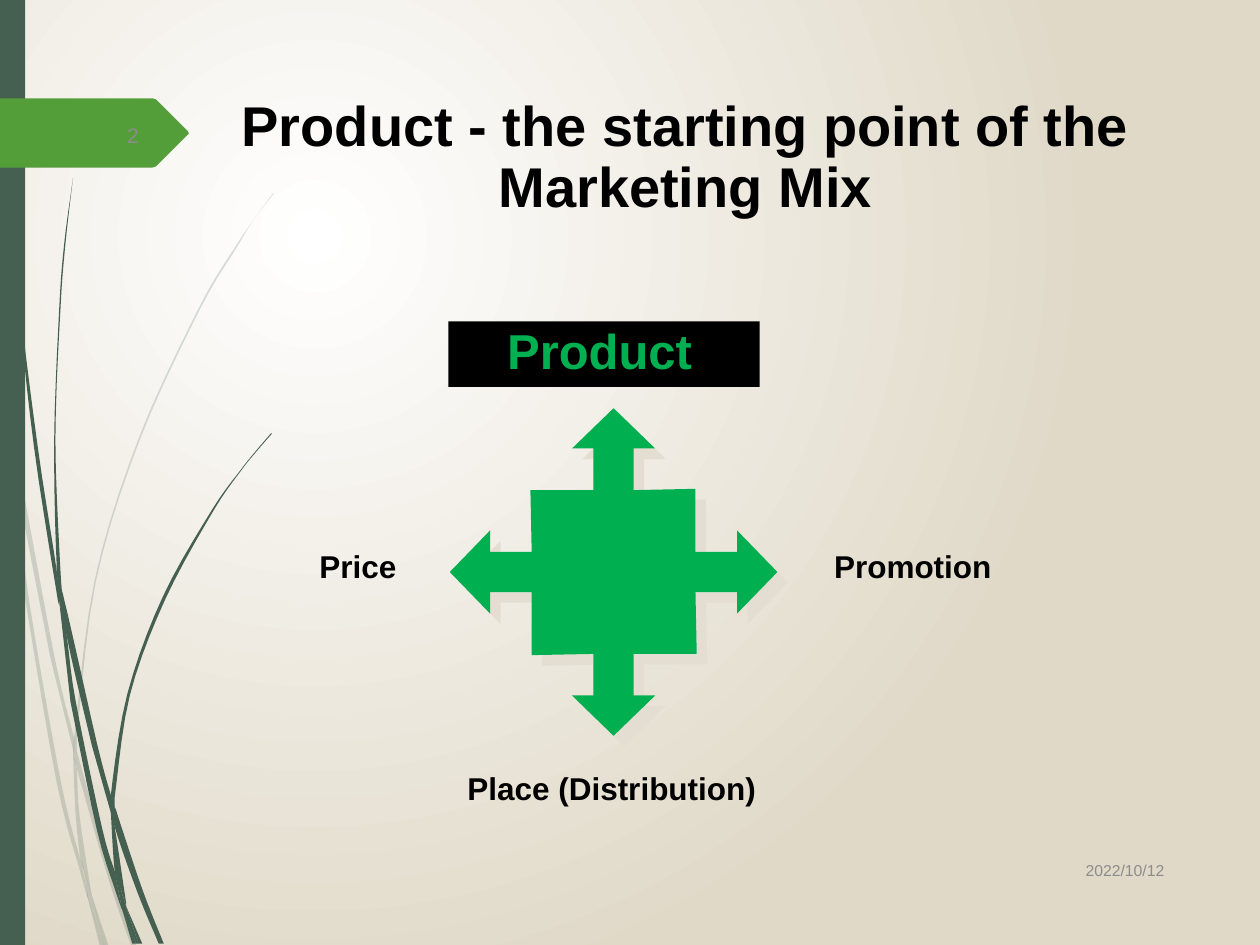
from lxml.etree import SubElement
from pptx import Presentation
from pptx.dml.color import RGBColor
from pptx.enum.shapes import MSO_SHAPE
from pptx.enum.text import MSO_ANCHOR, MSO_AUTO_SIZE, PP_ALIGN
from pptx.oxml.ns import qn
from pptx.util import Inches, Pt

# Content
TITLE = "Product - the starting point of the\vMarketing Mix"
PRODUCT = "Product"
LABELS = [
    ("Promotion", (6.31, 4.33, 1.87, 0.46)),
    ("Place (Distribution)", (3.22, 6.09, 3.27, 0.46)),
    ("Price", (2.17, 4.33, 1.34, 0.46)),
]
NUMBER, DATE = "2", "2022/10/12"
DARK, LEAF, GREEN, BLACK, GREY = "455F51", "549E39", "00B050", "000000", "8C8C8C"

# Grass blades: each is two smooth edges, out and back
PALE = [
    ([(.08, 3.5), (.06, 3.22), (0, 2.82)], [(0, 2.99), (.07, 3.44), (.08, 3.5)]),
    ([(.4, 5.22), (.59, 5.99)],
     [(.59, 5.86), (.43, 5.2), (.1, 3.45), (.12, 3.76), (.4, 5.22)]),
    ([(.64, 6.07), (.61, 5.96)],
     [(.61, 6.1), (.85, 6.94), (1.04, 7.5), (1.08, 7.5), (.88, 6.92), (.64, 6.07)]),
    ([(.83, 7.5), (.86, 7.5)], [(.73, 7.11), (.83, 7.5)]),
    ([(.64, 6.83), (.48, 6.19), (.22, 4.69), (.12, 3.76), (.08, 3.5)],
     [(.19, 4.7), (.45, 6.21), (.64, 6.93), (.7, 7.14), (.69, 7.07), (.64, 6.83)]),
    ([(.58, 5.99), (.6, 6.46), (.64, 6.83), (.67, 6.92), (.73, 7.11)],
     [(.72, 7.06), (.63, 6.46), (.61, 6.1), (.58, 5.99)]),
    ([(.61, 5.84), (.76, 4.62), (1.11, 3.49), (1.59, 2.45), (1.87, 1.98),
      (2.01, 1.75), (2.17, 1.54)],
     [(2.17, 1.53), (2.01, 1.75), (1.86, 1.97), (1.58, 2.44), (1.1, 3.48),
      (.75, 4.61), (.59, 5.84), (.59, 5.86), (.61, 5.96)]),
    ([(.7, 7.14), (.79, 7.5)], [(.82, 7.5), (.7, 7.14)]),
    ([(.61, 6.08), (.61, 5.96)], [(.59, 5.86), (.58, 5.99)]),
    ([(.67, 6.92), (.65, 6.83), (.69, 7.07), (.7, 7.14), (.82, 7.5)],
     [(.83, 7.5), (.73, 7.11), (.67, 6.92)]),
]
DEEP = [
    ([(.03, 0), (.04, .48), (.06, 1.09), (.15, 2.32), (.3, 3.55), (.45, 4.53), (.47, 4.81)],
     [(.46, 4.77), (.27, 3.55), (.14, 2.33), (.05, 1.1), (.03, .48), (.02, 0)]),
    ([(.73, 5.92), (.88, 6.45)],
     [(.88, 6.31), (.77, 5.9), (.5, 4.72), (.53, 5.05), (.73, 5.92)]),
    ([(.94, 6.49), (.91, 6.41), (.91, 6.56), (1.09, 7.08), (1.26, 7.49)],
     [(1.3, 7.49), (1.13, 7.06), (.94, 6.49)]),
    ([(.91, 6.91), (.81, 6.57), (.6, 5.56), (.53, 5.05), (.47, 4.77)],
     [(.56, 5.57), (.77, 6.59), (.92, 7.08), (.97, 7.22), (.96, 7.17), (.91, 6.91)]),
    ([(.5, 4.72), (.48, 4.53), (.44, 3.49), (.48, 2.45), (.52, 1.93), (.58, 1.41)],
     [(.58, 1.41), (.51, 1.93), (.47, 2.45), (.43, 3.49), (.45, 4.49), (.49, 4.72)]),
    ([(1.1, 7.49), (1.13, 7.49)], [(1, 7.19), (1.1, 7.49)]),
    ([(.47, 4.77), (.53, 5.05), (.5, 4.72)], [(.49, 4.72), (.45, 4.49), (.47, 4.77)]),
    ([(.91, 6.33), (1.03, 5.52), (1.31, 4.76), (1.69, 4.06), (1.91, 3.74),
      (2.03, 3.59), (2.16, 3.44)],
     [(2.15, 3.44), (2.03, 3.58), (1.91, 3.73), (1.68, 4.05), (1.29, 4.74),
      (1.01, 5.51), (.88, 6.31), (.91, 6.41)]),
    ([(.97, 7.22), (1.05, 7.49)], [(1.08, 7.49), (.97, 7.22)]),
    ([(.88, 6.45), (.91, 6.91), (.96, 7.06), (1, 7.19)],
     [(1, 7.16), (.91, 6.56), (.88, 6.45)]),
    ([(.88, 6.45), (.91, 6.56)], [(.91, 6.41), (.88, 6.31), (.88, 6.45)]),
    ([(.96, 7.06), (.91, 6.91), (.96, 7.17), (.97, 7.22), (1.08, 7.49)],
     [(1.1, 7.49), (1, 7.19), (.96, 7.06)]),
]
TAG = [(0, .78), (1.21, .78), (1.24, .79), (1.49, 1.04), (1.5, 1.06),
       (1.49, 1.07), (1.24, 1.32), (1.21, 1.33), (0, 1.33)]
ARM = [(-.66, -.65), (-.16, -.65), (-.16, -.98), (-.33, -.98), (0, -1.3),
       (.33, -.98), (.16, -.98), (.16, -.65)]
MID = (4.87, 4.54)


def rgb(code):
    return RGBColor.from_string(code)


def paint(shape, code):
    shape.shadow.inherit = False
    shape.fill.solid()
    shape.fill.fore_color.rgb = rgb(code)
    shape.line.fill.background()
    return shape


def smooth(edge, steps=5):
    """Points on a Catmull-Rom curve through the edge."""
    ends = [edge[0], *edge, edge[-1]]
    dots = []
    for a, b, c, d in zip(ends, ends[1:], ends[2:], ends[3:]):
        for n in range(steps):
            t = n / steps
            dots.append(tuple(
                q + t * (r - p) / 2 + t**2 * (p - 2.5 * q + 2 * r - s / 2)
                + t**3 * (3 * q - 3 * r + s - p) / 2
                for p, q, r, s in zip(a, b, c, d)))
    return dots + [edge[-1]]


def outline(shapes, dots, code):
    dots = [(Inches(x), Inches(y)) for x, y in dots]
    pen = shapes.build_freeform(*dots[0])
    pen.add_line_segments(dots[1:], close=True)
    return paint(pen.convert_to_shape(), code)


def place(shape, box):
    shape.left, shape.top, shape.width, shape.height = map(Inches, box)


def write(shape, text, size, code, bold=True, align=PP_ALIGN.CENTER,
          anchor=MSO_ANCHOR.TOP, space=0.9):
    frame = shape.text_frame
    frame.text = text
    frame.word_wrap = True
    frame.auto_size = MSO_AUTO_SIZE.NONE
    frame.vertical_anchor = anchor
    para = frame.paragraphs[0]
    para.alignment, para.line_spacing, para.space_before = align, space, Pt(0)
    for run in para.runs:
        font = run.font
        font.name, font.size, font.bold = "Arial", Pt(size), bold
        font.color.rgb = rgb(code)


deck = Presentation()
deck.slide_width, deck.slide_height = Inches(10), Inches(7.5)
slide = deck.slides.add_slide(deck.slide_layouts[5])
shapes = slide.shapes

# Background: glow from the upper left
fill = slide.background.fill
fill.gradient()
for stop, code in zip(fill.gradient_stops, ("FFFFFF", "E0D9C8")):
    stop.color.rgb = rgb(code)
line = slide.element.find(".//" + qn("a:lin"))
grad = line.getparent()
grad.remove(line)
glow = SubElement(grad, qn("a:path"), path="circle")
SubElement(glow, qn("a:fillToRect"), l="50000", t="50000", r="100000", b="100000")

# Grass, side bar and number tag
for blades, alpha in ((PALE, 20), (DEEP, 100)):
    group = shapes.add_group_shape()
    for out, back in blades:
        blade = outline(group.shapes, smooth(out) + smooth(back), DARK)
        if alpha < 100:
            tint = blade.element.spPr.find(".//" + qn("a:srgbClr"))
            SubElement(tint, qn("a:alpha"), val=str(alpha * 1000))
bar = shapes.add_shape(MSO_SHAPE.RECTANGLE, 0, 0, Inches(0.2), Inches(7.5))
paint(bar, DARK)
outline(shapes, TAG, LEAF)

# Title
place(shapes.title, (1.49, 0.73, 7.9, 1.07))
write(shapes.title, TITLE, 32, BLACK)

# Labels round the cross
for text, box in LABELS:
    write(shapes.add_textbox(*map(Inches, box)), text, 18, BLACK)
head = shapes.add_shape(MSO_SHAPE.RECTANGLE, *map(Inches, (3.56, 2.55, 2.47, 0.52)))
paint(head, BLACK)
write(head, PRODUCT, 28, GREEN)
head.text_frame.margin_right = Inches(0.17)

# Four-way arrow: one arm turned by quarters
arm, dots = ARM, []
for turn in range(4):
    dots += [(MID[0] + x, MID[1] + y) for x, y in arm]
    arm = [(-y, x) for x, y in arm]
cross = outline(shapes, dots, GREEN)
shade = SubElement(cross.element.spPr.find(qn("a:effectLst")), qn("a:outerShdw"),
                   dist=str(Pt(8.5)), dir=str(45 * 60000), algn="ctr", rotWithShape="0")
SubElement(shade, qn("a:srgbClr"), val="E3DED1")

# Slide number and date
for text, box, size in ((NUMBER, (0.4, 0.87, 0.8, 0.4), 12),
                        (DATE, (8.5, 6.71, 0.84, 0.4), 9)):
    write(shapes.add_textbox(*map(Inches, box)), text, size, GREY, False,
          PP_ALIGN.RIGHT, MSO_ANCHOR.MIDDLE, 1)

deck.save("out.pptx")
